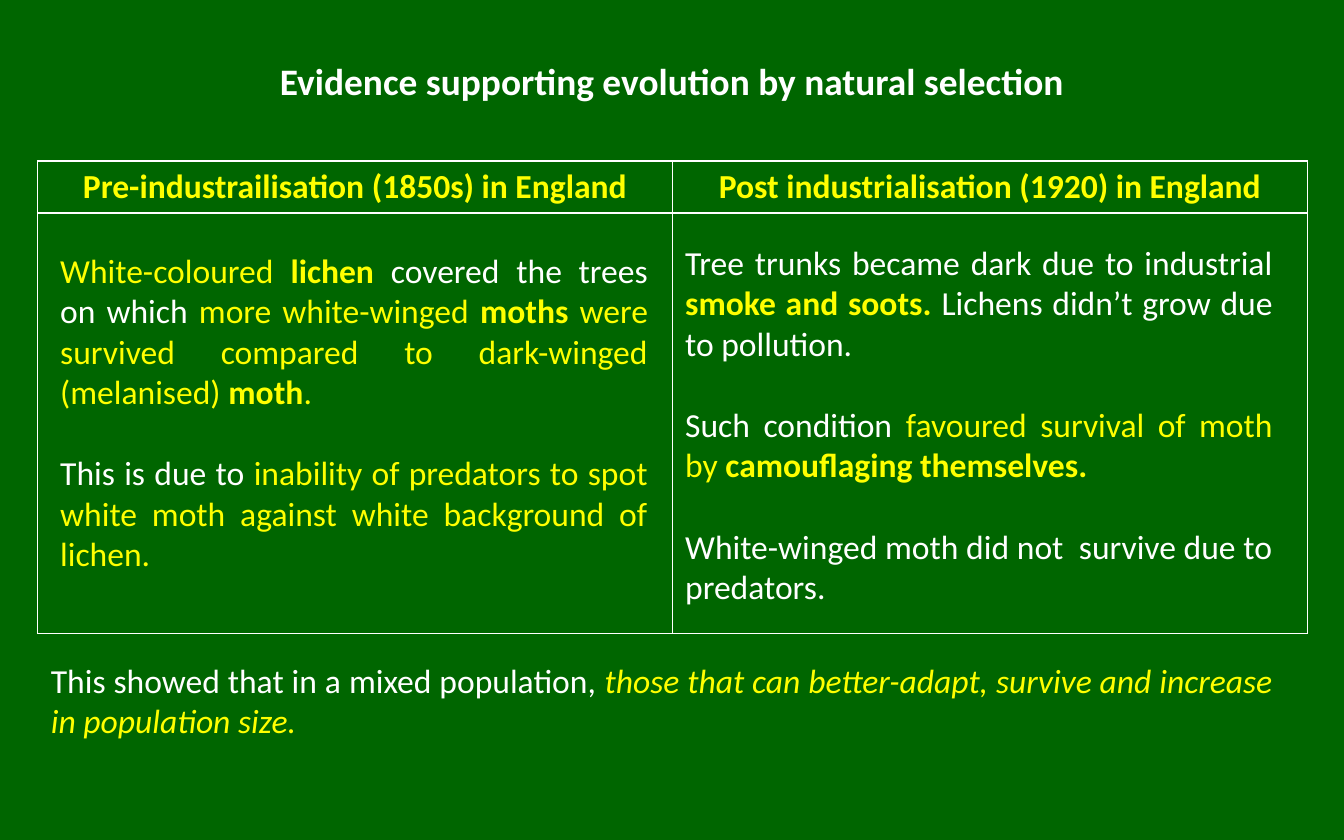
import pptx
import pptx.dml.color
import pptx.enum.text
import pptx.oxml
import pptx.oxml.ns
import pptx.util
from pptx.util import Inches

GREEN = pptx.dml.color.RGBColor(0x00, 0x66, 0x00)
WHITE = pptx.dml.color.RGBColor(0xFF, 0xFF, 0xFF)
YELLOW = pptx.dml.color.RGBColor(0xFF, 0xFF, 0x00)
FONT = "Calibri"
BODY_SIZE = 18
LINE_GAP = 22
ALIGN = pptx.enum.text.PP_ALIGN
ANCHOR = pptx.enum.text.MSO_ANCHOR

HEADINGS = [
    "Pre-industrailisation (1850s) in England",
    "Post industrialisation (1920) in England",
]
BEFORE_INDUSTRY = [
    [
        ("White-coloured ", YELLOW, ""),
        ("lichen ", YELLOW, "bold"),
        ("covered the trees on which ", WHITE, ""),
        ("more white-winged ", YELLOW, ""),
        ("moths", YELLOW, "bold"),
        (" were survived compared to dark-winged (melanised) ", YELLOW, ""),
        ("moth", YELLOW, "bold"),
        (".", YELLOW, ""),
    ],
    [
        ("This is due to ", WHITE, ""),
        ("inability of predators to spot white moth against white background of lichen.", YELLOW, ""),
    ],
]
AFTER_INDUSTRY = [
    [
        ("Tree trunks became dark due to industrial ", WHITE, ""),
        ("smoke and soots. ", YELLOW, "bold"),
        ("Lichens didn’t grow due to pollution.", WHITE, ""),
    ],
    [
        ("Such condition ", WHITE, ""),
        ("favoured survival of moth by ", YELLOW, ""),
        ("camouflaging themselves.", YELLOW, "bold"),
    ],
    [("White-winged moth did not  survive due to predators.", WHITE, "")],
]
CONCLUSION = [
    [
        ("This showed that in a mixed population, ", WHITE, ""),
        ("those that can better-adapt, survive and increase in population size.", YELLOW, "italic"),
    ],
]


def style_font(font, size, color, emphasis=""):
    """Apply the typeface, size, colour and emphasis to a font."""
    font.name = FONT
    font.size = pptx.util.Pt(size)
    font.color.rgb = color
    font.bold = emphasis == "bold"
    font.italic = emphasis == "italic"


def place_title(slide, left, top, width, height):
    """Place and format the slide title."""
    title = slide.shapes.title
    title.left, title.top, title.width, title.height = left, top, width, height
    frame = title.text_frame
    frame.text = "Evidence supporting evolution by natural selection"
    frame.vertical_anchor = ANCHOR.MIDDLE
    frame.paragraphs[0].alignment = ALIGN.CENTER
    style_font(frame.paragraphs[0].runs[0].font, 20, WHITE, "bold")


def outline_cell(cell):
    """Give a cell thin white borders and no fill."""
    properties = cell._tc.get_or_add_tcPr()
    for side in ("lnL", "lnR", "lnT", "lnB"):
        properties.append(pptx.oxml.parse_xml(
            f'<a:{side} {pptx.oxml.ns.nsdecls("a")} w="12700"><a:solidFill>'
            f'<a:srgbClr val="{WHITE}"/></a:solidFill></a:{side}>'
        ))
    cell.fill.background()


def place_comparison(slide, left, top, width, height):
    """Place the two-column table that frames the two periods."""
    header_height = Inches(0.38)
    table = slide.shapes.add_table(2, len(HEADINGS), left, top, width, height).table
    table.first_row = False
    table.horz_banding = False
    table.rows[0].height = header_height
    table.rows[1].height = height - header_height
    for cell in table.iter_cells():
        outline_cell(cell)
        cell.margin_top = cell.margin_bottom = Inches(0.04)
    for column, heading in enumerate(HEADINGS):
        cell = table.cell(0, column)
        cell.text = heading
        paragraph = cell.text_frame.paragraphs[0]
        paragraph.alignment = ALIGN.CENTER
        style_font(paragraph.runs[0].font, BODY_SIZE, YELLOW, "bold")


def place_passage(slide, passage, left, top, width, height):
    """Place justified paragraphs of emphasised text."""
    frame = slide.shapes.add_textbox(left, top, width, height).text_frame
    frame.word_wrap = True
    for index, phrases in enumerate(passage):
        paragraph = frame.add_paragraph() if index else frame.paragraphs[0]
        paragraph.alignment = ALIGN.JUSTIFY
        if index:
            paragraph.space_before = pptx.util.Pt(LINE_GAP)
        for text, color, emphasis in phrases:
            run = paragraph.add_run()
            run.text = text
            style_font(run.font, BODY_SIZE, color, emphasis)


def main():
    """Build and save the slide."""
    deck = pptx.Presentation()
    deck.slide_width, deck.slide_height = Inches(10), Inches(6.25)
    slide = deck.slides.add_slide(deck.slide_layouts.get_by_name("Title Only"))
    slide.background.fill.solid()
    slide.background.fill.fore_color.rgb = GREEN
    place_title(slide, 0, Inches(0.13), Inches(10), Inches(0.94))
    place_comparison(slide, Inches(0.28), Inches(1.2), Inches(9.45), Inches(3.51))
    place_passage(slide, CONCLUSION, Inches(0.28), Inches(4.86), Inches(9.29), Inches(0.71))
    place_passage(slide, BEFORE_INDUSTRY, Inches(0.35), Inches(1.81), Inches(4.57), Inches(2.52))
    place_passage(slide, AFTER_INDUSTRY, Inches(5), Inches(1.75), Inches(4.57), Inches(2.83))
    deck.save("out.pptx")


if __name__ == "__main__":
    main()
